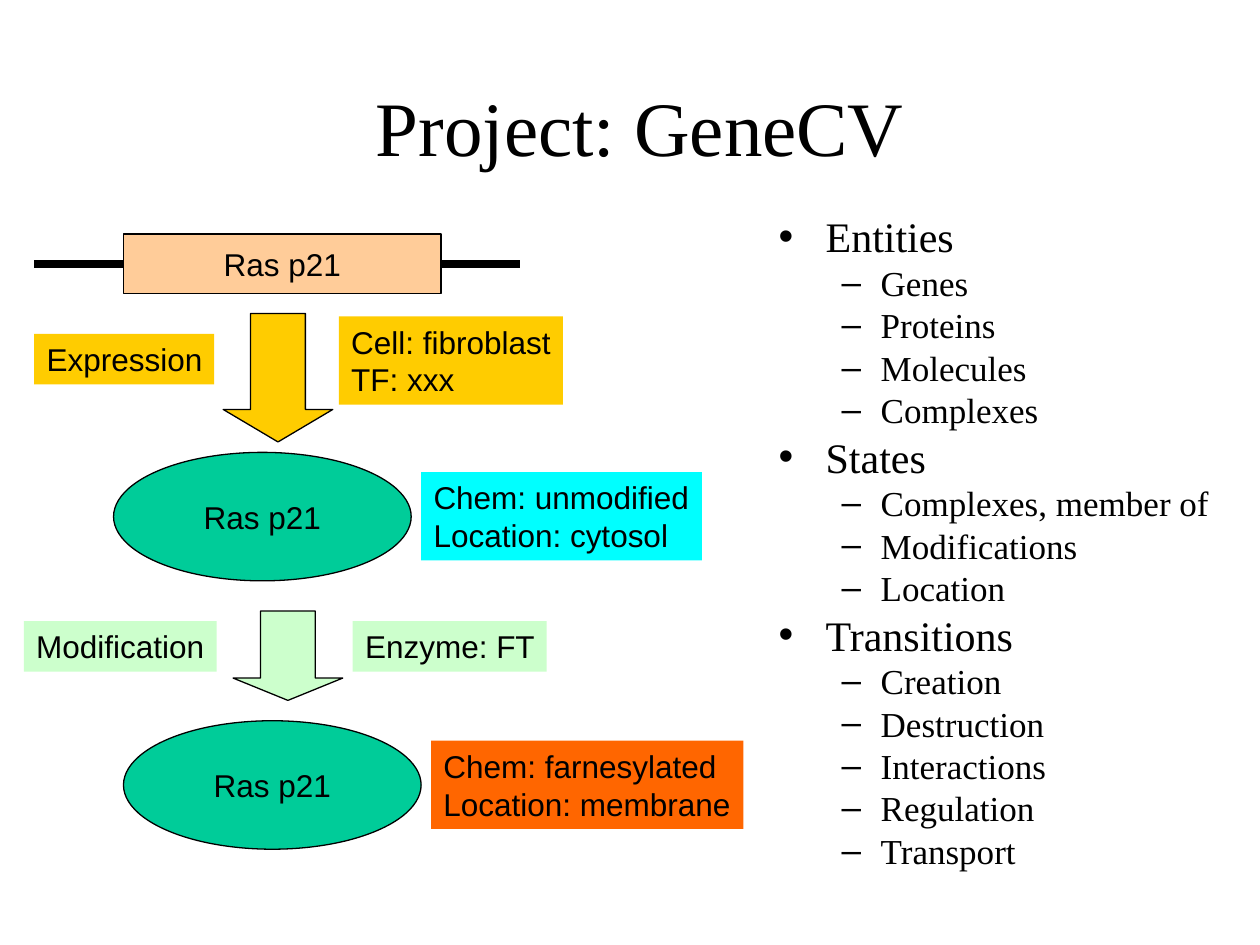
"""Build the GeneCV project slide: a gene's path beside an outline."""
from lxml import etree
from pptx import Presentation, util as u
from pptx.dml.color import RGBColor
from pptx.enum import shapes, text
from pptx.oxml.ns import qn

TITLE = "Project: GeneCV"
GENE = "Ras p21"
OUTLINE = [
    ("Entities", ["Genes", "Proteins", "Molecules", "Complexes"]),
    ("States", ["Complexes, member of", "Modifications", "Location"]),
    ("Transitions", ["Creation", "Destruction", "Interactions",
                     "Regulation", "Transport"]),
]
STATES = [
    (2.29, 9.12, ["Chem: unmodified", "Location: cytosol"], 5.66, "00FFFF"),
    (2.49, 14.53, ["Chem: farnesylated", "Location: membrane"], 6.3, "FF6600"),
]
STEPS = [
    ("FFCC00", (4.5, 6.32, 2.21, 2.59), 0.296,
     [(["Cell: fibroblast", "TF: xxx"], 6.83, 6.38, 4.52),
      (["Expression"], 0.69, 6.73, 3.63)]),
    ("CCFFCC", (4.7, 12.32, 2.21, 1.8), 0.25,
     [(["Enzyme: FT"], 7.11, 12.52, 3.91),
      (["Modification"], 0.48, 12.52, 3.89)]),
]
KIND = shapes.MSO_SHAPE
ALIGN = text.PP_ALIGN
ANCHOR = text.MSO_ANCHOR


def color(code):
    return RGBColor.from_string(code)


def style(para, size, face):
    para.font.size = u.Pt(size)
    para.font.name = face
    para.font.color.rgb = color("000000")


def place(item, box):
    item.left, item.top, item.width, item.height = map(u.Cm, box)


def draw(tree, kind, box, fill, edge=True):
    shape = tree.add_shape(kind, *map(u.Cm, box))
    shape.shadow.inherit = False
    shape.fill.solid()
    shape.fill.fore_color.rgb = color(fill)
    if edge:
        shape.line.color.rgb = color("000000")
        shape.line.width = u.Pt(0.75)
    else:
        shape.line.fill.background()
    return shape


def write(shape, lines, align, anchor):
    frame = shape.text_frame
    frame.word_wrap = False
    frame.vertical_anchor = anchor
    frame.text = "\n".join(lines)
    for para in frame.paragraphs:
        para.alignment = align
        style(para, 18, "Arial")


def node(tree, kind, box, fill):
    write(draw(tree, kind, box, fill), [GENE], ALIGN.CENTER, ANCHOR.MIDDLE)


def note(tree, lines, left, top, width, fill):
    box = (left, top, width, 0.26 + 0.76 * len(lines))
    shape = draw(tree, KIND.RECTANGLE, box, fill, edge=False)
    write(shape, lines, ALIGN.LEFT, ANCHOR.TOP)


def add_gene(tree):
    strand = tree.add_connector(shapes.MSO_CONNECTOR.STRAIGHT,
                                *map(u.Cm, (0.69, 5.33, 10.49, 5.33)))
    strand.line.color.rgb = color("000000")
    strand.line.width = u.Pt(4.5)
    etree.SubElement(strand._element.spPr, qn("a:effectLst"))
    node(tree, KIND.RECTANGLE, (2.49, 4.72, 6.4, 1.2), "FFCC99")


def add_step(tree, fill, box, head, notes):
    arrow = draw(tree, KIND.DOWN_ARROW, box, fill)
    arrow.adjustments[0] = 0.5
    arrow.adjustments[1] = head
    for lines, left, top, width in notes:
        note(tree, lines, left, top, width, fill)


def add_title(title):
    place(title, (4.65, 1.19, 16.51, 2.41))
    title.text_frame.text = TITLE
    title.text_frame.vertical_anchor = ANCHOR.MIDDLE
    para = title.text_frame.paragraphs[0]
    para.alignment = ALIGN.CENTER
    para.line_spacing = 1.16
    style(para, 44, "Times New Roman")


def add_outline(body):
    place(body, (15.44, 4.32, 9.96, 14.1))
    frame = body.text_frame
    frame.auto_size = text.MSO_AUTO_SIZE.NONE
    rows = [(level, line) for head, subs in OUTLINE
            for level, line in [(0, head)] + [(1, sub) for sub in subs]]
    frame.text = "\n".join(line for _, line in rows)
    for i, (para, (level, _)) in enumerate(zip(frame.paragraphs, rows)):
        size, gap, left, hang = [(24, 6, 0.95, 0.95), (20, 5, 2.06, 0.79)][level]
        para.level = level
        para.line_spacing = 0.8
        para.space_before = u.Pt(gap if i else 0)
        props = para._p.get_or_add_pPr()
        props.set("marL", str(u.Cm(left)))
        props.set("indent", str(-u.Cm(hang)))
        style(para, size, "Times New Roman")


def main():
    deck = Presentation()
    deck.slide_width, deck.slide_height = u.Cm(25.4), u.Cm(19.05)
    slide = deck.slides.add_slide(deck.slide_layouts[1])
    tree = slide.shapes
    add_title(tree.title)
    add_outline(slide.placeholders[1])
    add_gene(tree.add_group_shape().shapes)
    for left, top, lines, width, fill in STATES:
        node(tree, KIND.OVAL, (left, top, 6, 2.59), "00CC99")
        note(tree, lines, left + 6.2, top + 0.4, width, fill)
    for step in STEPS:
        add_step(tree.add_group_shape().shapes, *step)
    deck.save("out.pptx")


if __name__ == "__main__":
    main()
